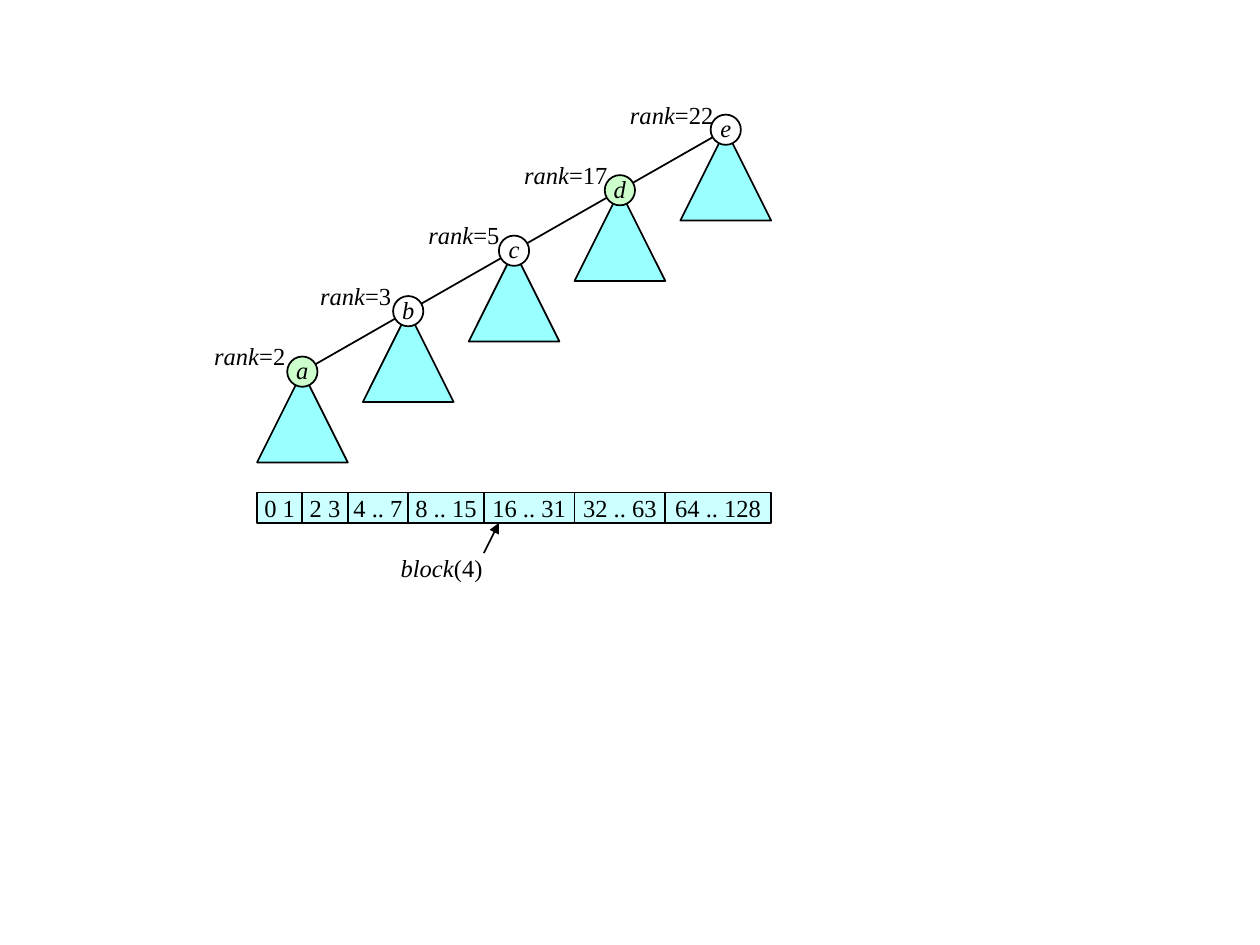
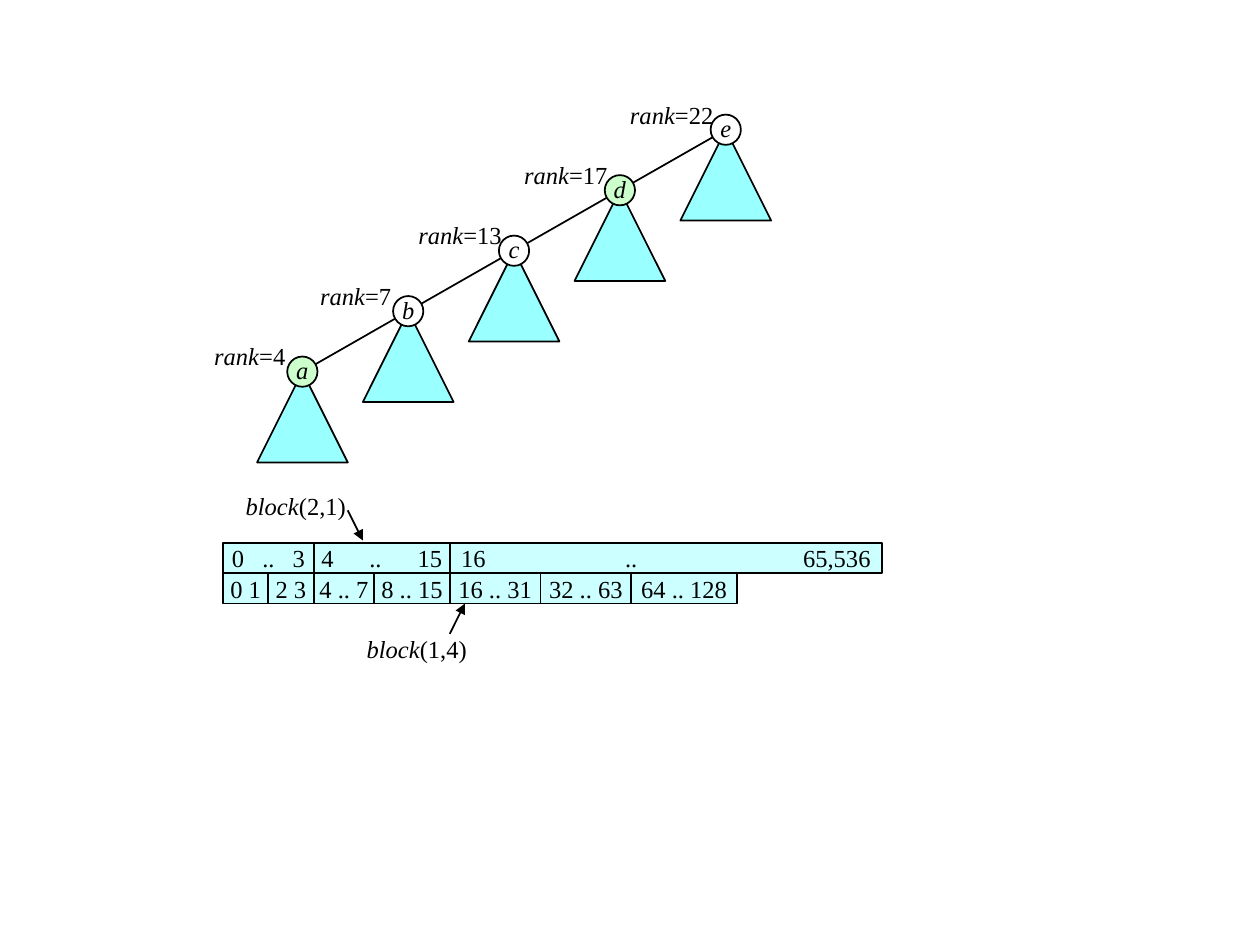
from dataclasses import dataclass

from lxml import etree
from pptx import Presentation
from pptx.dml.color import RGBColor
from pptx.enum.shapes import MSO_CONNECTOR, MSO_SHAPE
from pptx.enum.text import MSO_ANCHOR, MSO_AUTO_SIZE, PP_ALIGN
from pptx.oxml.ns import qn
from pptx.util import Pt

RECT, OVAL = MSO_SHAPE.RECTANGLE, MSO_SHAPE.OVAL
TRIANGLE = MSO_SHAPE.ISOSCELES_TRIANGLE
STRAIGHT = MSO_CONNECTOR.STRAIGHT
MIDDLE = MSO_ANCHOR.MIDDLE
FIT_SHAPE = MSO_AUTO_SIZE.SHAPE_TO_FIT_TEXT
CENTER, LEFT = PP_ALIGN.CENTER, PP_ALIGN.LEFT
TOP_SITE = 0
BLANK = 6
PX = 9144  # 100 px to the inch


@dataclass(frozen=True)
class Theme:
    font: str = "Times New Roman"
    size: int = 14
    line_width: int = 1
    ink: RGBColor = RGBColor(0x00, 0x00, 0x00)
    plain: RGBColor = RGBColor(0xFF, 0xFF, 0xFF)
    marked: RGBColor = RGBColor(0xCC, 0xFF, 0xCC)
    subtree: RGBColor = RGBColor(0x99, 0xFF, 0xFF)
    cell: RGBColor = RGBColor(0xCC, 0xFF, 0xFF)


T = Theme()

NODE = 24
SUBTREE = 72
STEP_X, STEP_Y = 84, -48
TREE_AT = (240, 295)
CELL_H = 24
NODES = [("a", T.marked), ("b", T.plain), ("c", T.plain),
         ("d", T.marked), ("e", T.plain)]

# text, width
FINE_CELLS = [("0 1", 36), ("2 3", 36), ("4 .. 7", 48), ("8 .. 15", 60),
              ("16 .. 31", 72), ("32 .. 63", 72), ("64 .. 128", 84)]
# first, last, width, side margin, centre of the dots
COARSE_CELLS = [("0", "3", 72, 7, 36), ("4", "15", 108, 6, 49),
                ("16", "65,536", 343, 9, 144)]


def box(*lengths):
    return [round(v * PX) for v in lengths]


def style_paragraph(p, align):
    p.alignment = align
    p.font.name, p.font.size = T.font, Pt(T.size)
    p.font.color.rgb = T.ink


def add_figure(s, kind, x, y, w, h, fill):
    """Add an outlined preset shape."""
    sp = s.shapes.add_shape(kind, *box(x, y, w, h))
    sp.shadow.inherit = False
    sp.fill.solid()
    sp.fill.fore_color.rgb = fill
    sp.line.color.rgb = T.ink
    sp.line.width = Pt(T.line_width)
    return sp


def add_line(s, x1, y1, x2, y2, arrow=False):
    c = s.shapes.add_connector(STRAIGHT, *box(x1, y1, x2, y2))
    c.line.color.rgb = T.ink
    c.line.width = Pt(T.line_width)
    props = c.element.spPr
    if arrow:
        etree.SubElement(props.find(qn("a:ln")), qn("a:tailEnd"), type="triangle")
    etree.SubElement(props, qn("a:effectLst"))
    return c


def add_label(s, x, y, w, name, rest):
    """Add an italic name followed by upright text."""
    tf = s.shapes.add_textbox(*box(x, y, w, CELL_H)).text_frame
    tf.margin_left = tf.margin_right = tf.margin_top = tf.margin_bottom = 0
    tf.word_wrap = False
    tf.auto_size = FIT_SHAPE
    p = tf.paragraphs[0]
    style_paragraph(p, LEFT)
    for text, italic in ((name, True), (rest, False)):
        r = p.add_run()
        r.text = text
        r.font.italic = italic


def add_node(s, x, y, name, fill):
    """Add a circle centred on x, y."""
    sp = add_figure(s, OVAL, x - NODE / 2, y - NODE / 2, NODE, NODE, fill)
    tf = sp.text_frame
    tf.margin_left = tf.margin_right = tf.margin_top = 0
    tf.margin_bottom = 3 * PX
    tf.word_wrap = False
    tf.vertical_anchor = MIDDLE
    p = tf.paragraphs[0]
    p.text = name
    style_paragraph(p, CENTER)
    p.font.italic = True


def add_tree(s, left, top, ranks):
    """Draw the path of nodes up from left, top; ranks hold (rank, label offset)."""
    centres = [(left + i * STEP_X, top + i * STEP_Y) for i in range(len(NODES))]
    subtrees = [add_figure(s, TRIANGLE, x - SUBTREE / 2, y, SUBTREE, SUBTREE, T.subtree)
                for x, y in centres]
    for i in range(len(centres) - 1):
        edge = add_line(s, *centres[i], *centres[i + 1])
        edge.begin_connect(subtrees[i], TOP_SITE)
        edge.end_connect(subtrees[i + 1], TOP_SITE)
    for (x, y), (name, fill), (rank, dx) in zip(centres, NODES, ranks):
        add_node(s, x, y, name, fill)
        add_label(s, x + dx, y - 24, 57 if rank < 10 else 67, "rank", f"={rank}")


def add_fine_blocks(s, left, top):
    for text, width in FINE_CELLS:
        tf = add_figure(s, RECT, left, top, width, CELL_H, T.cell).text_frame
        tf.word_wrap = False
        tf.vertical_anchor = MIDDLE
        p = tf.paragraphs[0]
        p.text = text
        style_paragraph(p, CENTER)
        left += width


def add_coarse_blocks(s, left, top):
    for first, last, width, margin, dots in COARSE_CELLS:
        tf = add_figure(s, RECT, left, top, width, CELL_H, T.cell).text_frame
        tf.margin_left, tf.margin_right = margin * PX, 0
        tf.word_wrap = True
        tf.vertical_anchor = MIDDLE
        p = tf.paragraphs[0]
        p.text = f"{first}\t..\t{last}"
        tabs = etree.SubElement(p._p.get_or_add_pPr(), qn("a:tabLst"))
        for pos, align in ((dots - margin, "ctr"), (width - 2 * margin, "r")):
            etree.SubElement(tabs, qn("a:tab"), pos=str(pos * PX), algn=align)
        style_paragraph(p, LEFT)
        left += width


def add_pointer_below(s, left, top, label_dx, label_w, index):
    """Point at the fifth fine block of the row at left, top."""
    x = left + sum(width for _, width in FINE_CELLS[:4])
    y = top + CELL_H
    add_label(s, x + label_dx, y + 24, label_w, "block", index)
    add_line(s, x, y + 24, x + 12, y, arrow=True)


def add_pointer_above(s, left, top, index):
    """Point at the second coarse block of the row at left, top."""
    x = left + COARSE_CELLS[0][2]
    add_label(s, x - 54, top - 41, 80, "block", index)
    add_line(s, x + 27, top - 26, x + 39, top - 2, arrow=True)


def one_level_slide(s):
    row = (204, 391)
    add_tree(s, *TREE_AT, [(2, -70), (3, -70), (5, -68), (17, -76), (22, -76)])
    add_fine_blocks(s, *row)
    add_pointer_below(s, *row, -66, 65, "(4)")


def two_level_slide(s):
    coarse_row, fine_row = (177, 431), (177, 455)
    add_tree(s, *TREE_AT, [(4, -70), (7, -70), (13, -76), (17, -76), (22, -76)])
    add_fine_blocks(s, *fine_row)
    add_pointer_below(s, *fine_row, -66, 80, "(1,4)")
    add_coarse_blocks(s, *coarse_row)
    add_pointer_above(s, *coarse_row, "(2,1)")


def main():
    prs = Presentation()
    prs.slide_width, prs.slide_height = box(1000, 750)
    for build in (one_level_slide, two_level_slide):
        build(prs.slides.add_slide(prs.slide_layouts[BLANK]))
    prs.save("out.pptx")


if __name__ == "__main__":
    main()
